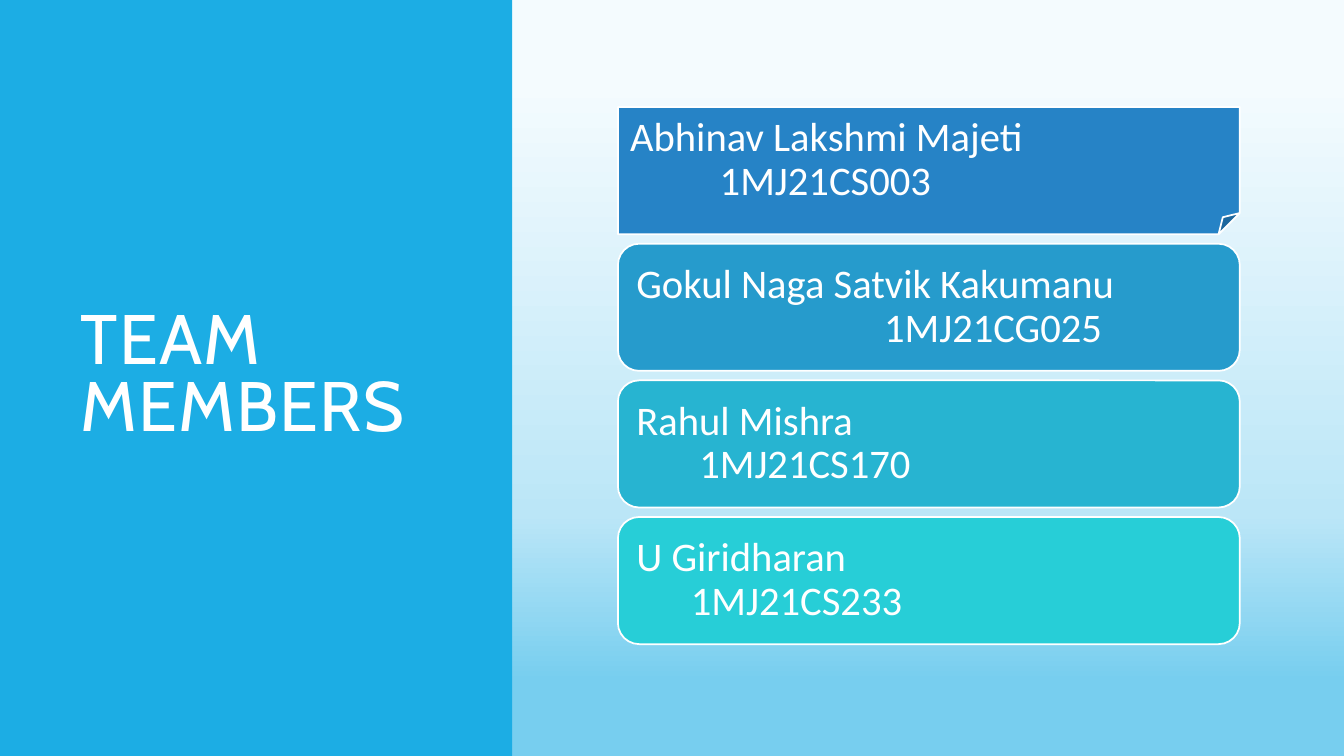
from copy import deepcopy

from pptx import Presentation
from pptx.dml.color import RGBColor
from pptx.enum.shapes import MSO_SHAPE
from pptx.enum.text import MSO_ANCHOR, PP_ALIGN
from pptx.oxml.ns import qn
from pptx.util import Pt

WHITE = "FFFFFF"
BACKGROUND = [(0.11, "F4FBFE"), (0.68, "BBE6F7"), (0.90, "77CEEF")]
# Name, student number, indent of the number, card shape, card colour
MEMBERS = [
    ("Abhinav Lakshmi Majeti", "1MJ21CS003", 64, MSO_SHAPE.FOLDED_CORNER, "2683C6"),
    ("Gokul Naga Satvik Kakumanu", "1MJ21CG025", 177, MSO_SHAPE.ROUNDED_RECTANGLE, "269BCC"),
    ("Rahul Mishra", "1MJ21CS170", 45, MSO_SHAPE.ROUNDED_RECTANGLE, "27B4D1"),
    ("U Giridharan", "1MJ21CS233", 39, MSO_SHAPE.ROUNDED_RECTANGLE, "27CED7"),
]


def rgb(value):
    return RGBColor.from_string(value)


def add_box(slide, shape, left, top, width, height, color):
    sp = slide.shapes.add_shape(shape, Pt(left), Pt(top), Pt(width), Pt(height))
    sp.shadow.inherit = False
    sp.fill.solid()
    sp.fill.fore_color.rgb = rgb(color)
    return sp


def style(p, font, size, spacing):
    p.alignment = PP_ALIGN.LEFT
    p.line_spacing = spacing
    p.font.name = font
    p.font.size = Pt(size)
    p.font.color.rgb = rgb(WHITE)


def set_background(slide):
    fill = slide.background.fill
    fill.gradient()
    fill.gradient_angle = 270
    # The default gradient has two stops; add a third
    stops = slide.element.find(".//" + qn("a:gsLst"))
    stops.append(deepcopy(stops[-1]))
    for stop, (position, color) in zip(fill.gradient_stops, BACKGROUND):
        stop.position = position
        stop.color.rgb = rgb(color)


def add_title_panel(slide, left, top, width, height):
    # Blue panel, sent behind the title
    panel = add_box(slide, MSO_SHAPE.RECTANGLE, left, top, width, height, "1CADE4")
    panel.line.fill.background()
    slide.shapes.element.insert(2, panel.element)

    # Title
    title = slide.shapes.title
    title.left, title.top = Pt(left + 50.4), Pt(top + 50.4)
    title.width, title.height = Pt(width - 96.5), Pt(height - 101.5)
    tf = title.text_frame
    tf.word_wrap = True
    tf.vertical_anchor = MSO_ANCHOR.MIDDLE
    p = tf.paragraphs[0]
    r = p.add_run()
    r.text = "TEAM MEMBERS"
    r.font.element.set("spc", "100") if hasattr(r.font, "element") else r._r.get_or_add_rPr().set("spc", "100")
    style(p, "Cabin", 50, 0.8)


def add_member_cards(slide, left, top, width, height, gap):
    card_height = (height - gap * (len(MEMBERS) - 1)) / len(MEMBERS)
    for i, (name, number, indent, shape, color) in enumerate(MEMBERS):
        card_top = top + i * (card_height + gap)
        sp = add_box(slide, shape, left, card_top, width, card_height, color)
        sp.line.color.rgb = rgb(WHITE)
        sp.line.width = Pt(1.25)

        # Name with the indented number below it
        tf = sp.text_frame
        tf.word_wrap = True
        tf.vertical_anchor = MSO_ANCHOR.MIDDLE
        tf.margin_left = tf.margin_right = tf.margin_top = tf.margin_bottom = Pt(8.7)
        tf.text = f"{name}\n{number}"
        tf.paragraphs[1]._p.get_or_add_pPr().set("marL", str(Pt(indent)))
        for p in tf.paragraphs:
            style(p, "Calibri", 29, 0.9)


def main():
    prs = Presentation()
    prs.slide_width, prs.slide_height = Pt(960), Pt(540)
    slide = prs.slides.add_slide(prs.slide_layouts[5])
    set_background(slide)
    add_title_panel(slide, 0, 0, 365.8, 540)
    add_member_cards(slide, 441.4, 76.5, 444.2, 383.6, 6.8)
    prs.save("out.pptx")


if __name__ == "__main__":
    main()
